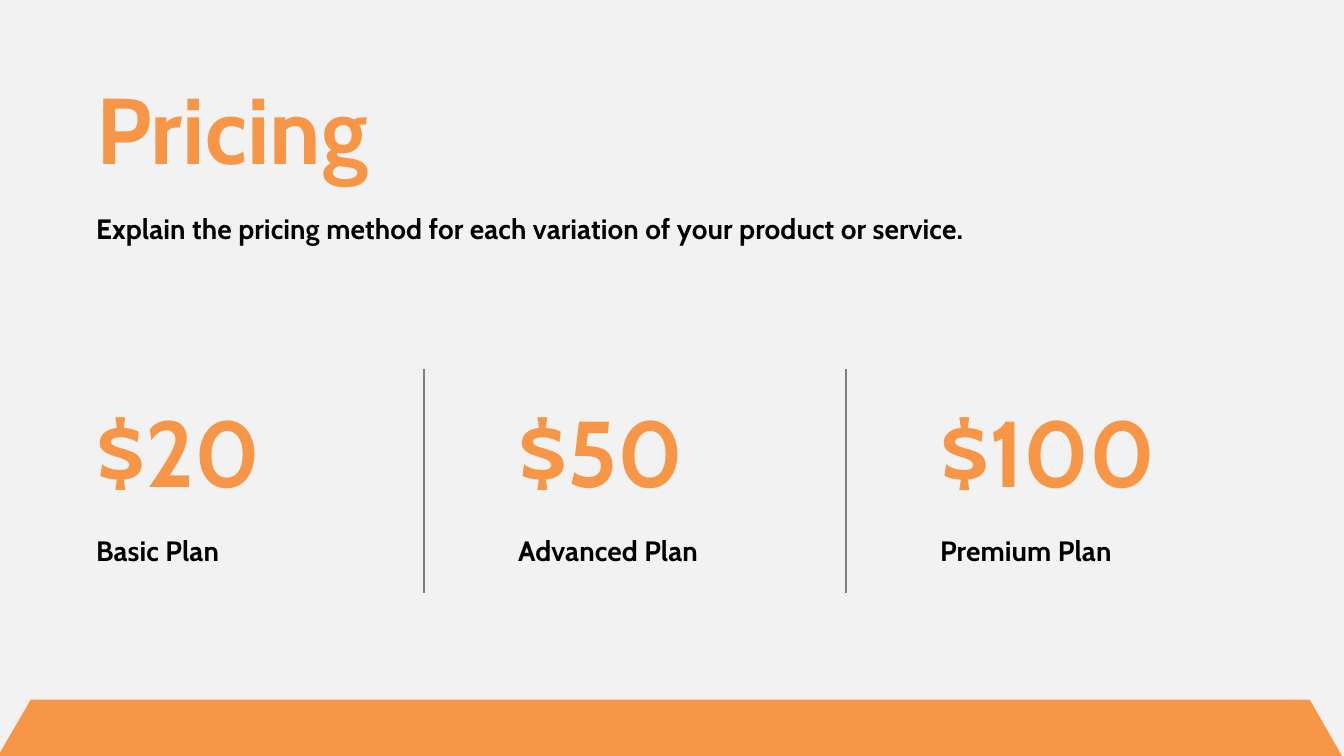
"""Build a pricing slide with three plans and a footer band."""
from lxml import etree
from pptx import Presentation
from pptx.dml.color import RGBColor
from pptx.enum import shapes, text
from pptx.oxml import ns
from pptx.util import Inches, Pt

TITLE = "Pricing"
SUBTITLE = "Explain the pricing method for each variation of your product or service."
PLANS = [("$20", "Basic Plan"), ("$50", "Advanced Plan"), ("$100", "Premium Plan")]

FONT = "Cabin"
ORANGE, BLACK, GRAY, PAPER = "F79646", "000000", "808080", "F2F2F2"
LEFT, PITCH = 1.43, 6.28
TITLE_TOP, PLAN_TOP, LABEL_DROP = 1.2, 6, 1.86
TITLE_WIDTH, PLAN_WIDTH = 14.58, 3.48
RULE_LEFT, RULE_TOP, RULE_BOTTOM = 6.31, 5.49, 8.82
BAND = [(19.49, 10.41), (0.46, 10.41), (-0.03, 11.25),
        (0.46, 12.09), (19.49, 12.09), (19.97, 11.25)]


def color(value):
    return RGBColor.from_string(value)


def add_text(s, content, x, y, w, h, *, size, leading, fill, spacing=0):
    sp = s.shapes.add_textbox(Inches(x), Inches(y), Inches(w), Inches(h))
    tf = sp.text_frame
    tf.margin_left = tf.margin_top = tf.margin_right = tf.margin_bottom = 0
    tf.word_wrap = True
    tf.auto_size = text.MSO_AUTO_SIZE.SHAPE_TO_FIT_TEXT
    p = tf.paragraphs[0]
    p.line_spacing = Pt(leading)
    r = p.add_run()
    r.text = content
    r.font.name, r.font.size, r.font.bold = FONT, Pt(size), True
    r.font.color.rgb = color(fill)
    if spacing:
        r.font._element.set("spc", str(round(spacing * 100)))


def add_pair(s, heading, label, x, y, w):
    add_text(s, heading, x, y, w, 1.58, size=100, leading=110, fill=ORANGE)
    add_text(s, label, x, y + LABEL_DROP, w, 0.55,
             size=30, leading=42, fill=BLACK, spacing=0.1)


def add_band(s):
    points = [(Inches(x), Inches(y)) for x, y in BAND]
    builder = s.shapes.build_freeform(*points[0])
    builder.add_line_segments(points[1:], close=True)
    sp = builder.convert_to_shape()
    sp.shadow.inherit = False
    sp.fill.solid()
    sp.fill.fore_color.rgb = color(ORANGE)
    sp.line.fill.background()


def add_rule(s, x):
    line = s.shapes.add_connector(shapes.MSO_CONNECTOR.STRAIGHT, Inches(x),
                                  Inches(RULE_BOTTOM), Inches(x), Inches(RULE_TOP))
    line.line.color.rgb = color(GRAY)
    line.line.width = Pt(2.25)
    etree.SubElement(line._element.spPr, ns.qn("a:effectLst"))


def main():
    prs = Presentation()
    prs.slide_width, prs.slide_height = Inches(20), Inches(11.25)
    s = prs.slides.add_slide(prs.slide_layouts[6])
    s.background.fill.solid()
    s.background.fill.fore_color.rgb = color(PAPER)

    add_pair(s, TITLE, SUBTITLE, LEFT, TITLE_TOP, TITLE_WIDTH)
    for i, (price, plan) in enumerate(PLANS):
        add_pair(s, price, plan, LEFT + i * PITCH, PLAN_TOP, PLAN_WIDTH)
    add_band(s)
    for i in range(len(PLANS) - 1):
        add_rule(s, RULE_LEFT + i * PITCH)

    prs.save("out.pptx")


if __name__ == "__main__":
    main()
